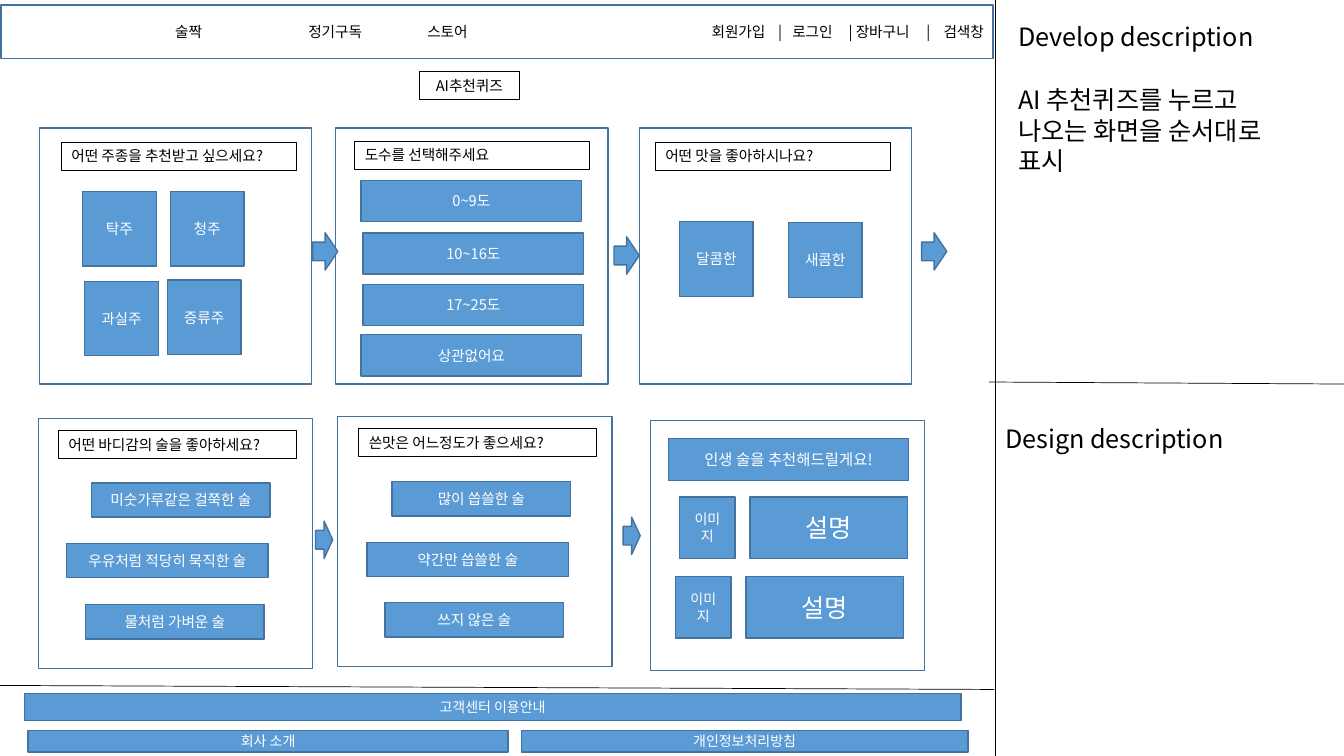
"""Build the wireframe slide for the drink recommendation quiz."""
from dataclasses import dataclass

from lxml import etree
from pptx import Presentation
from pptx.dml.color import RGBColor
from pptx.enum import shapes, text
from pptx.oxml.ns import qn
from pptx.util import Inches, Pt


@dataclass(frozen=True)
class Theme:
    font: str = "Noto Sans CJK KR"
    blue: str = "5B9BD5"
    edge: str = "43739E"
    white: str = "FFFFFF"
    black: str = "000000"
    heading: float = 18
    result: float = 11
    label: float = 10.5
    small: float = 10


theme = Theme()
LEFT, CENTER = text.PP_ALIGN.LEFT, text.PP_ALIGN.CENTER
TOP, MIDDLE = text.MSO_ANCHOR.TOP, text.MSO_ANCHOR.MIDDLE
RECT, ARROW = shapes.MSO_SHAPE.RECTANGLE, shapes.MSO_SHAPE.RIGHT_ARROW


def write(box, words, size, color=theme.black, align=LEFT, anchor=TOP):
    """Put one formatted paragraph in a box."""
    frame = box.text_frame
    frame.word_wrap = True
    frame.auto_size = text.MSO_AUTO_SIZE.NONE
    frame.vertical_anchor = anchor
    para = frame.paragraphs[0]
    para.text = words
    para.alignment = align
    para.font.size = Pt(size)
    para.font.color.rgb = RGBColor.from_string(color)
    para.font.name = theme.font
    east_asian = etree.SubElement(para._p.pPr.find(qn("a:defRPr")), qn("a:ea"))
    east_asian.set("typeface", theme.font)
    return para


def draw(place, fill=None, line=theme.edge, weight=1, kind=RECT):
    """Add a flat shape at left, top, width, height."""
    box = page.shapes.add_shape(kind, *map(Inches, place))
    box.shadow.inherit = False
    if fill:
        box.fill.solid()
        box.fill.fore_color.rgb = RGBColor.from_string(fill)
    else:
        box.fill.background()
    box.line.color.rgb = RGBColor.from_string(line)
    box.line.width = Pt(weight)
    return box


deck = Presentation()
deck.slide_width, deck.slide_height = Inches(13.33), Inches(7.5)
page = deck.slides.add_slide(deck.slide_layouts[5])

title = page.shapes.title
title.left, title.top, title.width, title.height = map(Inches, (10, 0.16, 2.89, 0.4))
write(title, "Develop description", theme.heading)
notes = [
    ((9.87, 4.15, 2.89, 0.4), "Design description"),
    ((10, 0.79, 3.1, 1.01), "AI 추천퀴즈를 누르고 나오는 화면을 순서대로 표시"),
]
for place, words in notes:
    write(page.shapes.add_textbox(*map(Inches, place)), words, theme.heading)

dividers = [(9.87, 0, 9.87, 7.5), (9.81, 3.79, 13.33, 3.81), (-0.01, 6.8, 9.86, 6.84)]
for ends in dividers:
    divider = page.shapes.add_connector(shapes.MSO_CONNECTOR.STRAIGHT, *map(Inches, ends))
    divider.line.color.rgb = RGBColor.from_string(theme.black)
    divider.line.width = Pt(0.5)
    etree.SubElement(divider._element.spPr, qn("a:effectLst"))

menu = [
    (1.63, "술짝"), (2.95, "정기구독"), (4.13, "스토어"), (6.95, "회원가입"), (7.61, "|"),
    (7.75, "로그인"), (8.31, "|"), (8.38, "장바구니"), (9.08, "|"), (9.25, "검색창"),
]
navigation = draw((0.01, 0.05, 9.84, 0.53), theme.white)
navigation.text_frame.margin_right = 0
menu_para = write(navigation, "".join("\t" + item for _, item in menu), theme.label, anchor=MIDDLE)
tab_list = etree.Element(qn("a:tabLst"))
for stop, _ in menu:
    etree.SubElement(tab_list, qn("a:tab"), pos=str(Inches(stop)), algn="l")
menu_para._p.pPr.insert(0, tab_list)

panel_size, lower_size = (2.7, 2.54), (2.72, 2.48)
panels = [(left, 1.27, *panel_size) for left in (0.39, 3.33, 6.34)]
panels += [(left, top, *lower_size) for left, top in ((0.38, 4.15), (3.35, 4.13), (6.45, 4.17))]
for place in panels:
    draw(place)

quiz_button = draw((4.16, 0.71, 0.99, 0.28), line=theme.black, weight=0.75)
write(quiz_button, "AI추천퀴즈", theme.label, align=CENTER)
questions = [
    (0.61, 1.41, 2.33, "어떤 주종을 추천받고 싶으세요?"),
    (3.52, 1.4, 2.33, "도수를 선택해주세요"),
    (6.5, 1.41, 2.33, "어떤 맛을 좋아하시나요?"),
    (0.58, 4.27, 2.36, "어떤 바디감의 술을 좋아하세요?"),
    (3.56, 4.25, 2.36, "쓴맛은 어느정도가 좋으세요?"),
]
for left, top, width, words in questions:
    question = draw((left, top, width, 0.28), line=theme.black, weight=0.75)
    write(question, words, theme.label)

tile, strength, short, long = (0.73, 0.74), (2.19, 0.41), (1.77, 0.34), (2, 0.34)
thumbnail, details = (0.55, 0.61), (1.56, 0.61)
buttons = {
    theme.label: [
        (0.82, 1.9, tile, "탁주"), (1.69, 1.9, tile, "청주"),
        (0.84, 2.79, tile, "과실주"), (1.66, 2.78, tile, "증류주"),
        (3.58, 1.79, strength, "0~9도"), (3.6, 2.31, strength, "10~16도"),
        (3.6, 2.82, strength, "17~25도"), (3.58, 3.32, strength, "상관없어요"),
        (6.74, 2.2, tile, "달콤한"), (7.82, 2.21, tile, "새콤한"),
        (0.91, 4.79, short, "미숫가루같은 걸쭉한 술"),
        (0.66, 5.39, long, "우유처럼 적당히 묵직한 술"),
        (0.85, 6, short, "물처럼 가벼운 술"),
        (3.89, 4.78, short, "많이 씁쓸한 술"),
        (3.64, 5.38, long, "약간만 씁쓸한 술"),
        (3.82, 5.98, short, "쓰지 않은 술"),
    ],
    theme.result: [(6.63, 4.35, (2.38, 0.42), "인생 술을 추천해드릴게요!")],
    theme.small: [
        (6.74, 4.93, thumbnail, "이미지"), (6.7, 5.72, thumbnail, "이미지"),
        (0.24, 6.88, (9.29, 0.27), "고객센터 이용안내"),
        (0.28, 7.25, (4.76, 0.21), "회사 소개"),
        (5.17, 7.25, (4.43, 0.21), "개인정보처리방침"),
    ],
    theme.heading: [(7.44, 4.93, details, "설명"), (7.4, 5.72, details, "설명")],
}
for size, group in buttons.items():
    for left, top, extent, words in group:
        button = draw((left, top, *extent), theme.blue)
        write(button, words, size, theme.white, CENTER, MIDDLE)

arrows = [
    (3.1, 2.31, 0.25), (6.09, 2.35, 0.25), (9.14, 2.31, 0.25),
    (3.13, 5.17, 0.17), (6.18, 5.13, 0.17),
]
for left, top, width in arrows:
    draw((left, top, width, 0.37), theme.blue, kind=ARROW)

deck.save("out.pptx")
